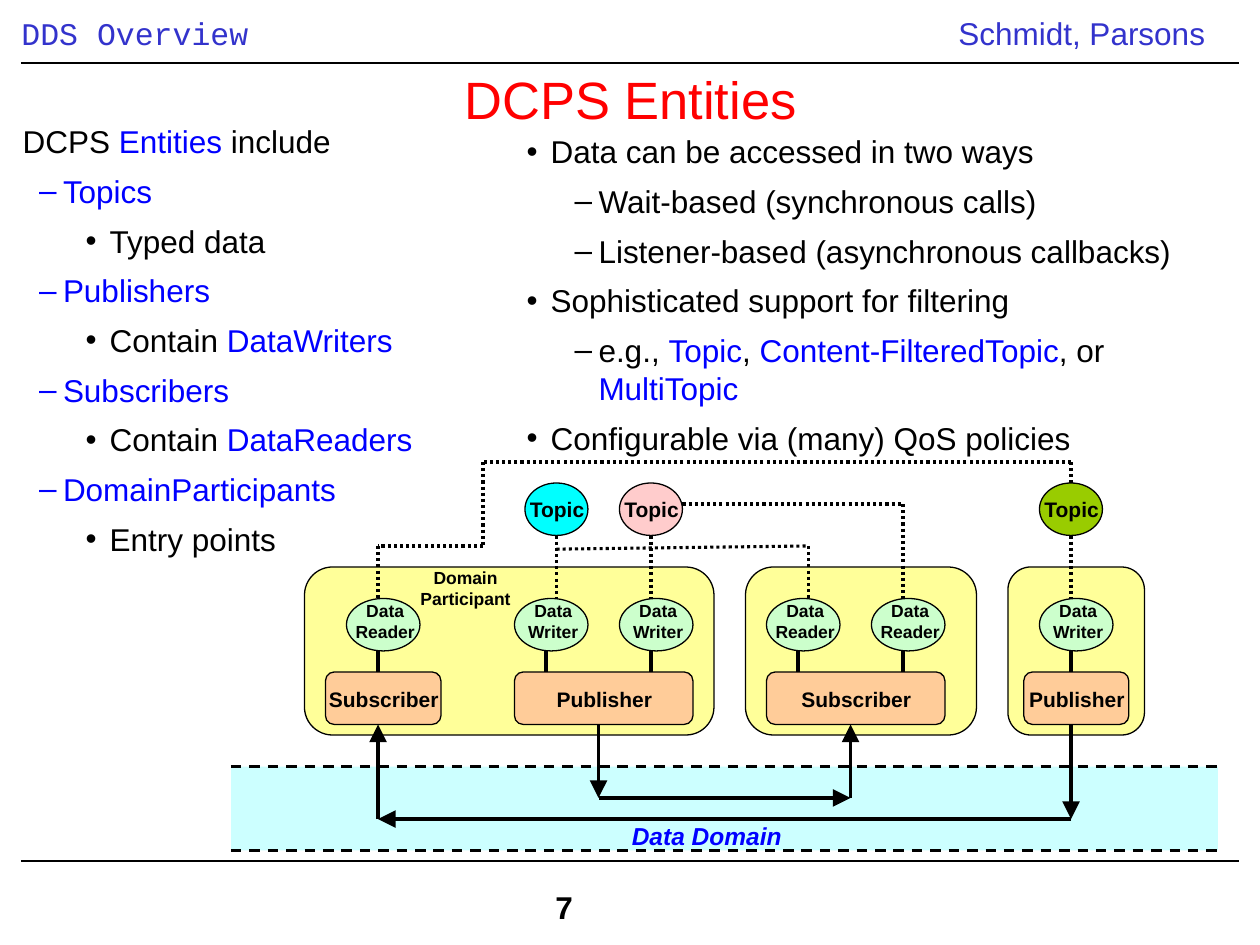
from lxml.etree import SubElement
from pptx import Presentation
from pptx.dml.color import RGBColor
from pptx.enum.dml import MSO_LINE
from pptx.enum.shapes import MSO_CONNECTOR, MSO_SHAPE
from pptx.enum.text import MSO_ANCHOR, MSO_AUTO_SIZE, PP_ALIGN
from pptx.oxml.ns import qn
from pptx.util import Inches, Pt

BLACK, BLUE, HEADER = "000000", "0000FF", "3333CC"
YELLOW, GREEN, ORANGE, CYAN = "FFFF99", "CCFFCC", "FFCC99", "CCFFFF"

# Lists: (level, text); words between asterisks are blue
ENTITIES = [
    (None, "DCPS *Entities* include"),
    (1, "*Topics*"), (2, "Typed data"),
    (1, "*Publishers*"), (2, "Contain *DataWriters*"),
    (1, "*Subscribers*"), (2, "Contain *DataReaders*"),
    (1, "*DomainParticipants*"), (2, "Entry points"),
]
FEATURES = [
    (0, "Data can be accessed in two ways"),
    (1, "Wait-based (synchronous calls)"),
    (1, "Listener-based (asynchronous callbacks)"),
    (0, "Sophisticated support for filtering"),
    (1, "e.g., *Topic*, *Content-FilteredTopic*, or *MultiTopic*"),
    (0, "Configurable via (many) QoS policies"),
]
# Level: (bullet, left margin in inches)
ENTITY_LEVELS = {None: (None, 0), 1: ("–", 0.32), 2: ("•", 0.69)}
FEATURE_LEVELS = {0: ("•", 0.19), 1: ("–", 0.57)}

# Diagram, on a grid of 12 cells to the inch
TOPICS = [(50, "00FFFF"), (59, "FFCCCC"), (99, "99CC00")]
PARTICIPANTS = [(29, 39), (71, 22), (96, 13)]
ENDPOINTS = [(33, "Reader"), (49, "Writer"), (59, "Writer"),
             (73, "Reader"), (83, "Reader"), (99, "Writer")]
ROLES = [(31, 11, "Subscriber"), (49, 17, "Publisher"),
         (73, 17, "Subscriber"), (97.5, 10, "Publisher")]
STEMS = [36, 52, 62, 76, 86, 102]
TOPIC_LINKS = [
    [(53, 51), (53, 57)],
    [(62, 51), (62, 57)],
    [(102, 51), (102, 57)],
    [(65, 48), (86, 48), (86, 57)],
    [(53, 52.3), (77, 52), (77, 57)],
    [(102, 46), (102, 44), (46, 44), (46, 52), (36, 52), (36, 57)],
]
DATA_FLOWS = [
    [(57, 69), (57, 76), (81, 76), (81, 69)],
    [(102, 69), (102, 78), (36, 78), (36, 69)],
]


def cell(n):
    return Inches(n / 12)


def rgb(hex_str):
    return RGBColor.from_string(hex_str)


def style(font, size, color, bold=False, italic=False, name="Arial"):
    font.size, font.bold, font.italic, font.name = Pt(size), bold, italic, name
    font.color.rgb = rgb(color)


def add_label(slide, text, x, y, w, h, size, color=BLACK,
              align=PP_ALIGN.CENTER, **font):
    box = slide.shapes.add_textbox(Inches(x), Inches(y), Inches(w), Inches(h))
    tf = box.text_frame
    tf.word_wrap = True
    p = tf.paragraphs[0]
    p.text, p.alignment = text, align
    style(p.runs[0].font, size, color, **font)
    return tf


def add_block(slide, kind, x, y, w, h, fill, outlined=True):
    sp = slide.shapes.add_shape(kind, cell(x), cell(y), cell(w), cell(h))
    sp.shadow.inherit = False
    sp.fill.solid()
    sp.fill.fore_color.rgb = rgb(fill)
    if outlined:
        sp.line.color.rgb = rgb(BLACK)
        sp.line.width = Pt(0.75)
    else:
        sp.line.fill.background()


def add_path(slide, points, width, dash=None, arrow=False):
    for (x1, y1), (x2, y2) in zip(points, points[1:]):
        line = slide.shapes.add_connector(
            MSO_CONNECTOR.STRAIGHT, cell(x1), cell(y1), cell(x2), cell(y2))
        line.line.color.rgb = rgb(BLACK)
        line.line.width = Pt(width)
        if dash:
            line.line.dash_style = dash
        if arrow:
            SubElement(line.line._get_or_add_ln(), qn("a:tailEnd"),
                       type="triangle", w="lg", len="lg")
        SubElement(line._element.spPr, qn("a:effectLst"))


def place(sp, x, y, w, h):
    sp.left, sp.top, sp.width, sp.height = map(Inches, (x, y, w, h))
    sp.text_frame.auto_size = MSO_AUTO_SIZE.NONE


def fill_list(tf, items, levels):
    for i, (level, text) in enumerate(items):
        p = tf.paragraphs[0] if i == 0 else tf.add_paragraph()
        p.level = level or 0
        p.space_before = Pt(6.8 if i else 0)
        p.line_spacing = 1.0
        bullet, margin = levels[level]
        pPr = p._p.get_or_add_pPr()
        pPr.set("marL", str(Inches(margin)))
        pPr.set("indent", str(Inches(-0.19 if bullet else 0)))
        if bullet:
            clr = SubElement(pPr, qn("a:buClr"))
            color = BLUE if text.startswith("*") else BLACK
            SubElement(clr, qn("a:srgbClr"), val=color)
            SubElement(pPr, qn("a:buChar"), char=bullet)
        else:
            SubElement(pPr, qn("a:buNone"))
        for j, part in enumerate(text.split("*")):
            if part:
                r = p.add_run()
                r.text = part
                style(r.font, 18, BLUE if j % 2 else BLACK)


def add_diagram(slide):
    # Topics, participants, endpoints and roles
    for x, fill in TOPICS:
        add_block(slide, MSO_SHAPE.OVAL, x, 46, 6, 5, fill)
        add_label(slide, "Topic", (x + 3) / 12 - 0.33, 3.89, 0.67, 0.3, 12, bold=True)
    for x, w in PARTICIPANTS:
        add_block(slide, MSO_SHAPE.ROUNDED_RECTANGLE, x, 54, w, 16, YELLOW)
    for x, kind in ENDPOINTS:
        add_block(slide, MSO_SHAPE.OVAL, x, 57, 7, 5, GREEN)
        add_label(slide, f"Data {kind}", (x + 3.5) / 12 - 0.4, 4.71, 0.83, 0.44, 10, bold=True)
    for x, w, role in ROLES:
        add_block(slide, MSO_SHAPE.ROUNDED_RECTANGLE, x, 64, w, 5, ORANGE)
        add_label(slide, role, (x + w / 2) / 12 - 0.58, 5.4, 1.17, 0.3, 12, bold=True)
    add_label(slide, "Domain Participant", 3.03, 4.45, 1.33, 0.44, 10, bold=True)

    # Data domain band
    add_block(slide, MSO_SHAPE.RECTANGLE, 22, 73, 94, 8, CYAN, outlined=False)
    for y in (73, 81):
        add_path(slide, [(22, y), (116, y)], 1.5, MSO_LINE.DASH)
    add_label(slide, "Data Domain", 4.72, 6.47, 1.78, 0.34, 14, BLUE, bold=True, italic=True)

    # Links and data flows
    for points in TOPIC_LINKS:
        add_path(slide, points, 1.75, MSO_LINE.ROUND_DOT)
    for x in STEMS:
        add_path(slide, [(x, 62), (x, 64)], 1.75)
    for points in DATA_FLOWS:
        add_path(slide, points, 2, arrow=True)


def main():
    prs = Presentation()
    prs.slide_width, prs.slide_height = Inches(10), Inches(7.5)
    slide = prs.slides.add_slide(prs.slide_layouts[3])
    title, left, right = slide.placeholders

    # Header, footer and rules
    tf = add_label(slide, "DDS Overview", 0.17, 0.06, 5.92, 0.4, 18, HEADER,
                   PP_ALIGN.LEFT, name="Courier New")
    tf.margin_left = tf.margin_right = 0
    add_label(slide, "Schmidt, Parsons", 7.33, 0.06, 2.51, 0.4, 18, HEADER)
    add_label(slide, "7", 4.31, 7, 1.41, 0.4, 18, align=PP_ALIGN.LEFT, bold=True)
    for y in (6, 82):
        add_path(slide, [(2, y), (118, y)], 0.75)

    # Title and lists
    place(title, 0.17, 0.57, 9.67, 0.42)
    title.text_frame.text = "DCPS Entities"
    title.text_frame.vertical_anchor = MSO_ANCHOR.MIDDLE
    p = title.text_frame.paragraphs[0]
    p.alignment = PP_ALIGN.CENTER
    style(p.runs[0].font, 30, "FF0000")
    place(left, 0.08, 0.92, 3.42, 4.5)
    fill_list(left.text_frame, ENTITIES, ENTITY_LEVELS)
    place(right, 4.08, 1, 5.92, 4.5)
    fill_list(right.text_frame, FEATURES, FEATURE_LEVELS)

    add_diagram(slide)
    prs.save("out.pptx")


if __name__ == "__main__":
    main()
